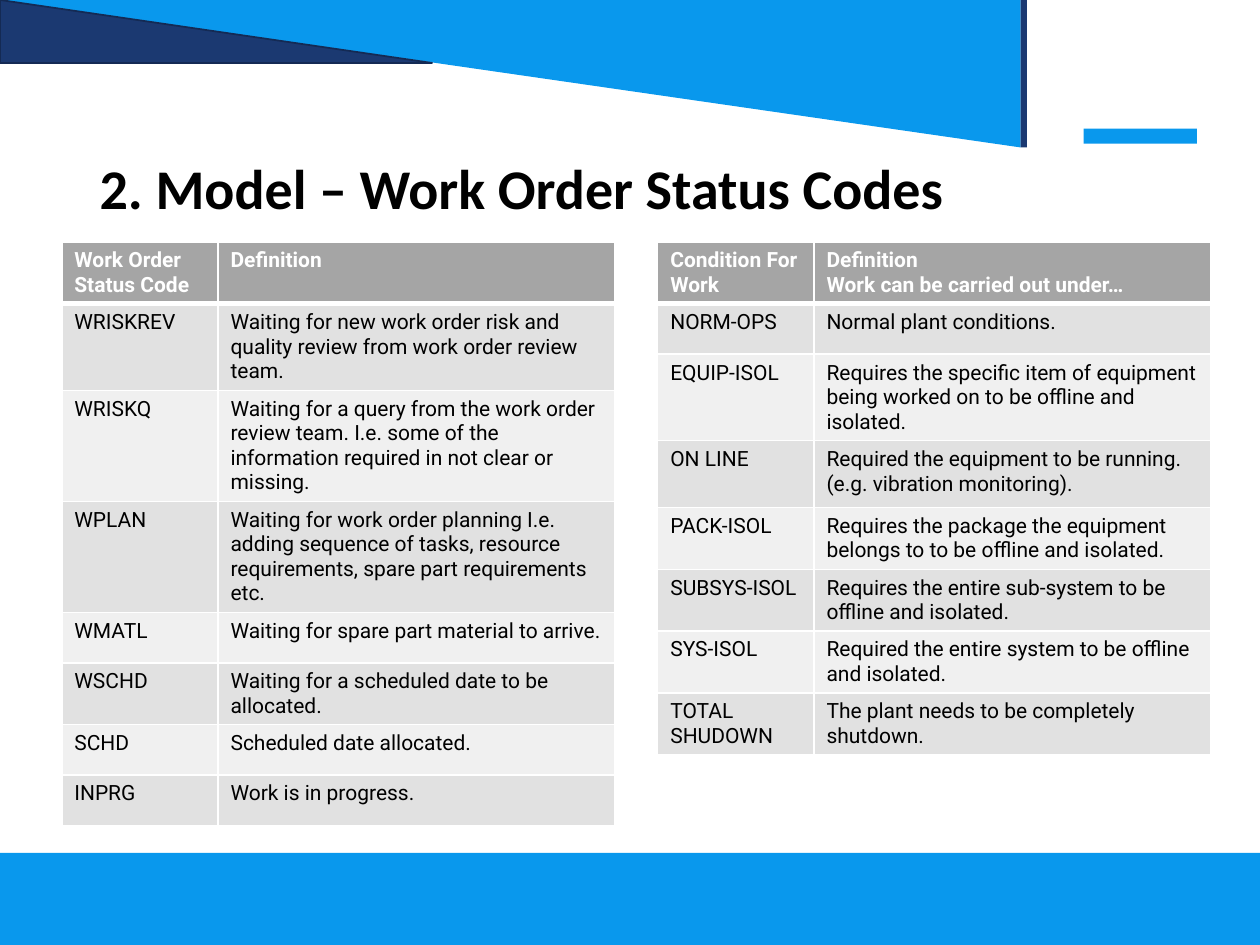
from pptx import Presentation
from pptx.dml.color import RGBColor as Rgb
from pptx.enum.shapes import MSO_SHAPE as Kind
from pptx.enum.text import MSO_ANCHOR as Anchor, MSO_AUTO_SIZE as Fit, PP_ALIGN as Align
from pptx.oxml import parse_xml
from pptx.oxml.ns import nsdecls
from pptx.util import Inches, Pt

HUES = {"blue": "0998ED", "navy": "1B3971", "edge": "142A54", "head": "A5A5A5",
        "odd": "E1E1E1", "even": "F0F0F0", "white": "FFFFFF", "black": "000000"}
COLS = [1.24, 3.15]
ROWS = [0.4, 0.4, 0.53, 0.53, 0.4, 0.4, 0.4, 0.4]
CODES = [
    ("Work Order Status Code", "Definition"),
    ("WRISKREV", "Waiting for new work order risk and quality review from work order review team."),
    ("WRISKQ", "Waiting for a query from the work order review team. I.e. some of the "
               "information required in not clear or missing."),
    ("WPLAN", "Waiting for work order planning I.e. adding sequence of tasks, resource "
              "requirements, spare part requirements etc."),
    ("WMATL", "Waiting for spare part material to arrive."),
    ("WSCHD", "Waiting for a scheduled date to be allocated."),
    ("SCHD", "Scheduled date allocated."),
    ("INPRG", "Work is in progress."),
]
STATES = [
    ("Condition For Work", "Definition\nWork can be carried out under…"),
    ("NORM-OPS", "Normal plant conditions."),
    ("EQUIP-ISOL", "Requires the specific item of equipment being worked on to be offline and isolated."),
    ("ON LINE", "Required the equipment to be running. (e.g. vibration monitoring)."),
    ("PACK-ISOL", "Requires the package the equipment belongs to to be offline and isolated."),
    ("SUBSYS-ISOL", "Requires the entire sub-system to be offline and isolated."),
    ("SYS-ISOL", "Required the entire system to be offline and isolated."),
    ("TOTAL SHUDOWN", "The plant needs to be completely shutdown."),
]


class Deck:
    def __init__(self, wide, high):
        self.show = Presentation()
        self.show.slide_width, self.show.slide_height = Inches(wide), Inches(high)
        self.slide = self.show.slides.add_slide(self.show.slide_layouts[5])

    def hue(self, name):
        return Rgb.from_string(HUES[name])

    def run(self, para, text, face, size, hue, bold):
        run = para.add_run()
        run.text = text
        run.font.name, run.font.size, run.font.bold = face, Pt(size), bold
        run.font.color.rgb = self.hue(hue)

    def shape(self, kind, box, fill, line=None, turn=0):
        shape = self.slide.shapes.add_shape(kind, *map(Inches, box))
        shape.shadow.inherit = False
        shape.rotation = turn
        shape.fill.solid()
        shape.fill.fore_color.rgb = self.hue(fill)
        if line:
            shape.line.color.rgb = self.hue(line)
            shape.line.width = Pt(1)
        else:
            shape.line.fill.background()

    def title(self, text, box):
        title = self.slide.shapes.title
        title.left, title.top, title.width, title.height = map(Inches, box)
        frame = title.text_frame
        frame.auto_size, frame.word_wrap = Fit.NONE, True
        frame.vertical_anchor = Anchor.MIDDLE
        para = frame.paragraphs[0]
        para.alignment, para.line_spacing = Align.LEFT, 0.9
        self.run(para, text, "Calibri", 32, "black", True)

    def edges(self, cell, row):
        sides = {"L": 1, "R": 1, "T": 3 if row == 1 else 1, "B": 3 if row == 0 else 1}
        props = cell._tc.get_or_add_tcPr()
        for side, width in sides.items():
            props.append(parse_xml(
                f'<a:ln{side} {nsdecls("a")} w="{Pt(width)}"><a:solidFill>'
                f'<a:srgbClr val="{HUES["white"]}"/></a:solidFill></a:ln{side}>'))

    def table(self, left, top, data):
        table = self.slide.shapes.add_table(
            len(data), len(COLS), *map(Inches, (left, top, sum(COLS), sum(ROWS)))).table
        for col, width in zip(table.columns, COLS):
            col.width = Inches(width)
        for row, high in zip(table.rows, ROWS):
            row.height = Inches(high)
        for r, texts in enumerate(data):
            fill = "head" if r == 0 else "odd" if r % 2 else "even"
            for c, text in enumerate(texts):
                cell = table.cell(r, c)
                self.edges(cell, r)
                cell.fill.solid()
                cell.fill.fore_color.rgb = self.hue(fill)
                frame = cell.text_frame
                for i, line in enumerate(text.split("\n")):
                    para = frame.add_paragraph() if i else frame.paragraphs[0]
                    self.run(para, line, "Roboto", 12, "black" if r else "white", r == 0)


def main():
    deck = Deck(10, 7.5)
    deck.shape(Kind.RIGHT_TRIANGLE, (0, 0, 8.1, 1.17), "blue", turn=180)
    deck.shape(Kind.RECTANGLE, (8.6, 1.02, 0.9, 0.12), "blue")
    deck.shape(Kind.RECTANGLE, (8.1, 0, 0.05, 1.17), "navy")
    deck.shape(Kind.RIGHT_TRIANGLE, (0, 0, 3.43, 0.5), "navy", "edge")
    deck.shape(Kind.RECTANGLE, (0, 6.77, 10, 0.73), "blue")
    deck.title("2. Model – Work Order Status Codes", (0.69, 1.18, 8.62, 0.67))
    for left, data in ((0.49, CODES), (5.22, STATES)):
        deck.table(left, 1.92, data)
    deck.show.save("out.pptx")


if __name__ == "__main__":
    main()
